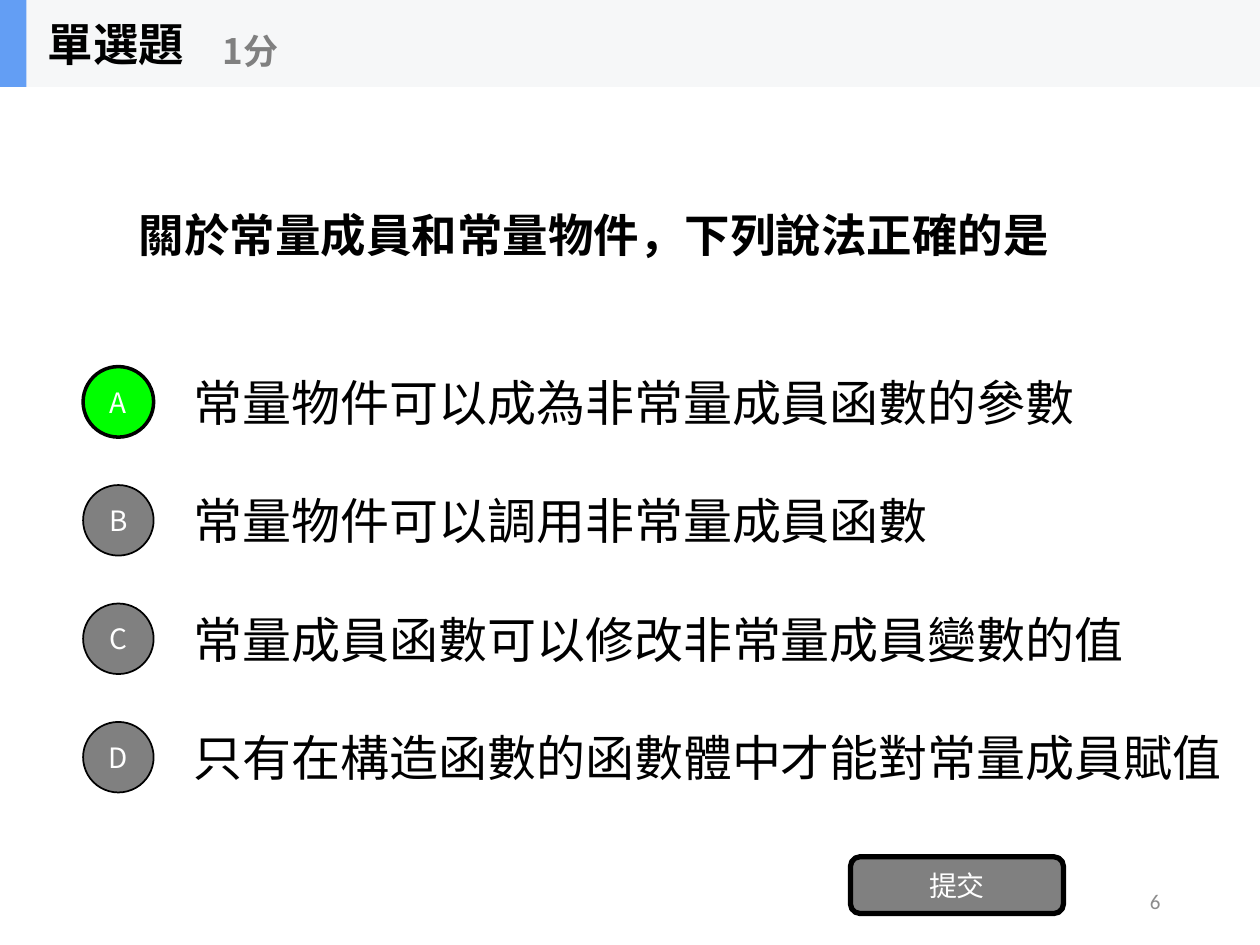
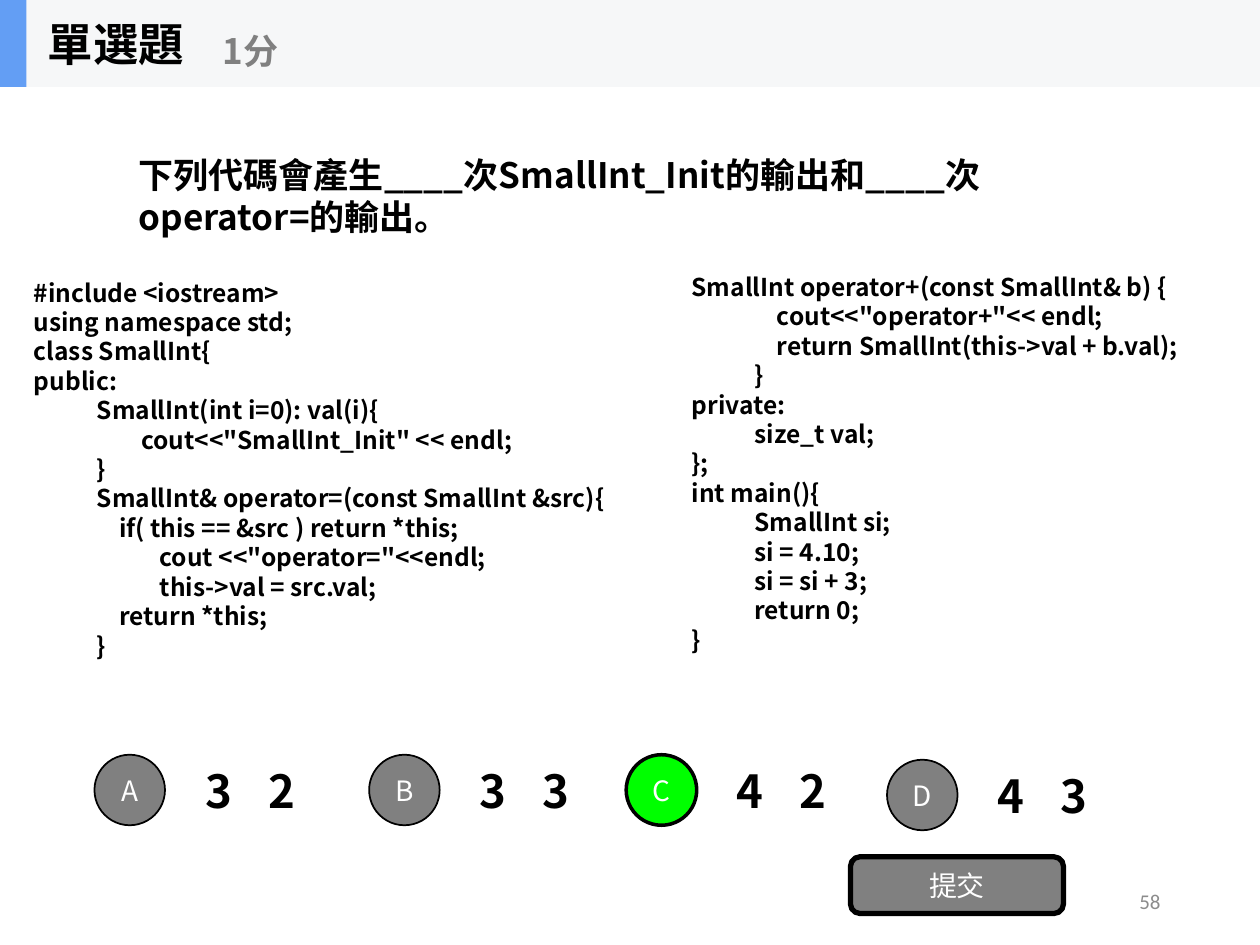
from pptx import Presentation
from pptx.dml.color import RGBColor
from pptx.enum.shapes import MSO_SHAPE
from pptx.enum.text import MSO_ANCHOR, MSO_AUTO_SIZE, PP_ALIGN
from pptx.oxml.ns import qn
from pptx.util import Emu, Pt
from lxml import etree

PX = 9144  # EMU per px, 100 px to the inch
CJK_FONT, NUMBER_FONT = "Noto Sans CJK SC", "Calibri"
BLACK = RGBColor(0x00, 0x00, 0x00)
WHITE = RGBColor(0xFF, 0xFF, 0xFF)
GREY = RGBColor(0x80, 0x80, 0x80)
NUMBER_GREY = RGBColor(0x8C, 0x8C, 0x8C)
GREEN = RGBColor(0x00, 0xFF, 0x00)
BAND = RGBColor(0xF6, 0xF7, 0xF8)
ACCENT = RGBColor(0x63, 0x9E, 0xF4)
RECT, ROUND, OVAL = MSO_SHAPE.RECTANGLE, MSO_SHAPE.ROUNDED_RECTANGLE, MSO_SHAPE.OVAL
LEFT, CENTER, RIGHT = PP_ALIGN.LEFT, PP_ALIGN.CENTER, PP_ALIGN.RIGHT
MIDDLE, NO_FIT = MSO_ANCHOR.MIDDLE, MSO_AUTO_SIZE.NONE
TITLE_ONLY = 5

CODE_LEFT = """#include <iostream>
using namespace std;
class SmallInt{
public:
\tSmallInt(int i=0): val(i){
\t        cout<<"SmallInt_Init" << endl;
\t}
\tSmallInt& operator=(const SmallInt &src){
\t    if( this == &src ) return *this;
\t\tcout <<"operator="<<endl;
\t\tthis->val = src.val;
\t    return *this;
\t}"""
CODE_RIGHT = """SmallInt operator+(const SmallInt& b) {
\t    cout<<"operator+"<< endl;
\t    return SmallInt(this->val + b.val);
\t}
private:
\tsize_t val;
};
int main(){
\tSmallInt si;
\tsi = 4.10;
\tsi = si + 3;
\treturn 0;
}"""


def emu(*lengths):
    return [Emu(length * PX) for length in lengths]


class QuizDeck:
    def __init__(self):
        self.prs = Presentation()
        self.prs.slide_width, self.prs.slide_height = emu(1000, 750)
        self.slide = None

    def fill_text(self, frame, text, size, color=BLACK, bold=False, align=LEFT,
                  wrap=True, font=CJK_FONT):
        frame.text = text
        frame.word_wrap = wrap
        frame.auto_size = NO_FIT
        frame.vertical_anchor = MIDDLE
        for paragraph in frame.paragraphs:
            paragraph.alignment = align
            for run in paragraph.runs:
                run.font.name = font
                run.font.size = Pt(size)
                run.font.bold = bold
                run.font.color.rgb = color
                # East Asian glyphs take the same typeface
                east_asian = etree.SubElement(run._r.get_or_add_rPr(), qn("a:ea"))
                east_asian.set("typeface", font)

    def text(self, box, text, size, parent=None, **style):
        shapes = (parent or self.slide).shapes
        self.fill_text(shapes.add_textbox(*emu(*box)).text_frame, text, size, **style)

    def shape(self, kind, box, fill, line=0, label="", parent=None):
        shape = (parent or self.slide).shapes.add_shape(kind, *emu(*box))
        shape.shadow.inherit = False
        shape.fill.solid()
        shape.fill.fore_color.rgb = fill
        if line:
            shape.line.color.rgb = BLACK
            shape.line.width = Pt(line)
        else:
            shape.line.fill.background()
        if label:
            self.fill_text(shape.text_frame, label, 16, WHITE, align=CENTER)

    def header(self):
        band = self.slide.shapes.add_group_shape()
        self.shape(RECT, (0, 0, 1000, 69), BAND, parent=band)
        self.shape(RECT, (0, 0, 21, 69), ACCENT, parent=band)
        self.text((28, 0, 208, 69), "單選題", 26, band, bold=True, wrap=False)
        self.text((167, 12, 250, 56), "1分", 20, band, color=GREY, bold=True, wrap=False)

    def question(self, number, text, top, size):
        self.slide = self.prs.slides.add_slide(self.prs.slide_layouts[TITLE_ONLY])
        title = self.slide.shapes.title
        title.left, title.top, title.width, title.height = emu(100, top, 800, 234)
        self.fill_text(title.text_frame, text, size, bold=True)
        self.header()
        self.shape(ROUND, (675, 680, 169, 45), GREY, 3, "提交")
        self.text((706, 695, 225, 40), str(number), 12, color=NUMBER_GREY,
                  align=RIGHT, font=NUMBER_FONT)

    def option(self, letter, left, top, answer, width, size, correct, bold=False):
        fill, line = (GREEN, 2) if correct else (GREY, 1)
        self.shape(OVAL, (left, top, 56, 56), fill, line, letter)
        self.text((left + 78, top - 7, width, 70), answer, size, bold=bold, wrap=False)


def main():
    deck = QuizDeck()

    # Constant members and constant objects
    deck.question(6, "關於常量成員和常量物件，下列說法正確的是", 69, 26)
    statements = ["常量物件可以成為非常量成員函數的參數", "常量物件可以調用非常量成員函數",
                  "常量成員函數可以修改非常量成員變數的值", "只有在構造函數的函數體中才能對常量成員賦值"]
    for row, (letter, statement) in enumerate(zip("ABCD", statements)):
        deck.option(letter, 66, 291 + 94 * row, statement, 700, 28, letter == "A")

    # Counting constructor and assignment output
    deck.question(58, "下列代碼會產生____次SmallInt_Init的輸出和____次operator=的輸出。", 38, 20)
    deck.text((17, 198, 573, 348), CODE_LEFT, 14, bold=True)
    deck.text((539, 260, 461, 215), CODE_RIGHT, 14, bold=True)
    counts = [("A", 75, 599, "3\t2"), ("B", 293, 599, "3\t3"),
              ("C", 497, 599, "4\t2"), ("D", 704, 603, "4\t3")]
    for letter, left, top, count in counts:
        deck.option(letter, left, top, count, 120, 26, letter == "C", bold=True)

    deck.prs.save("out.pptx")


if __name__ == "__main__":
    main()
